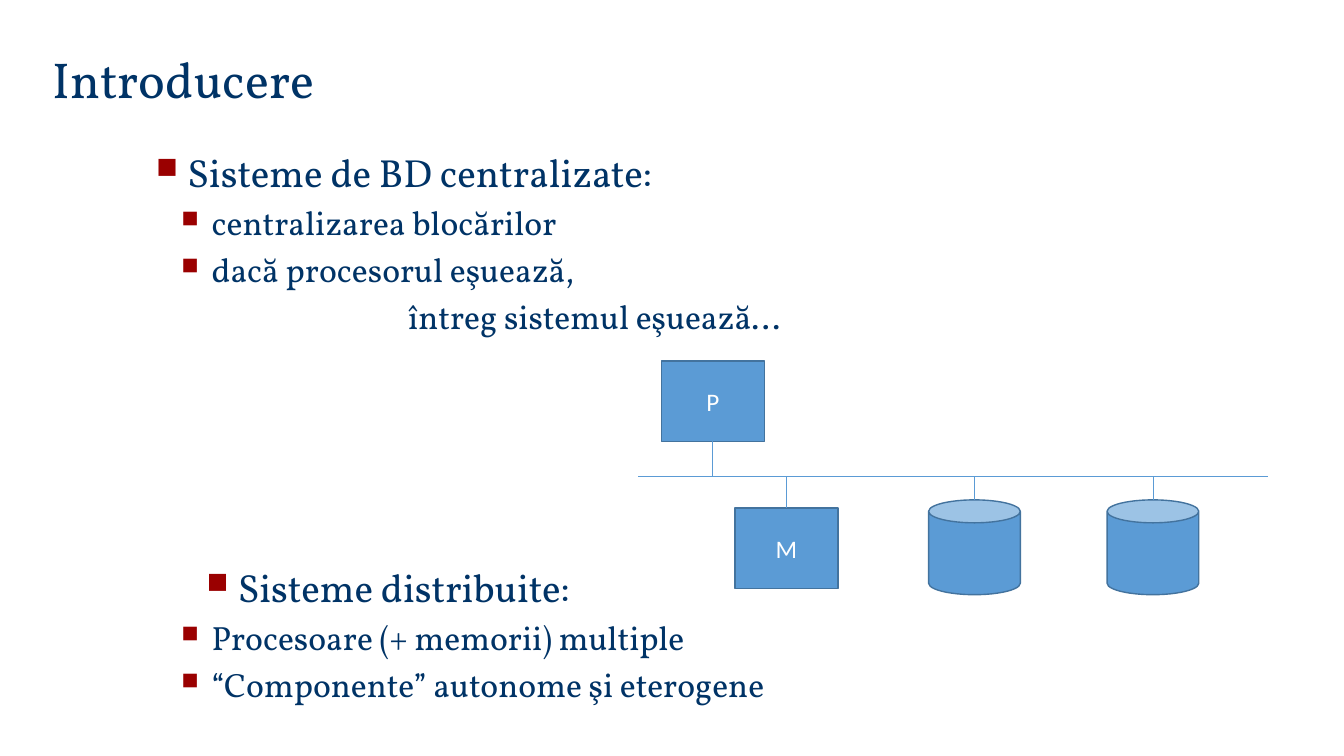
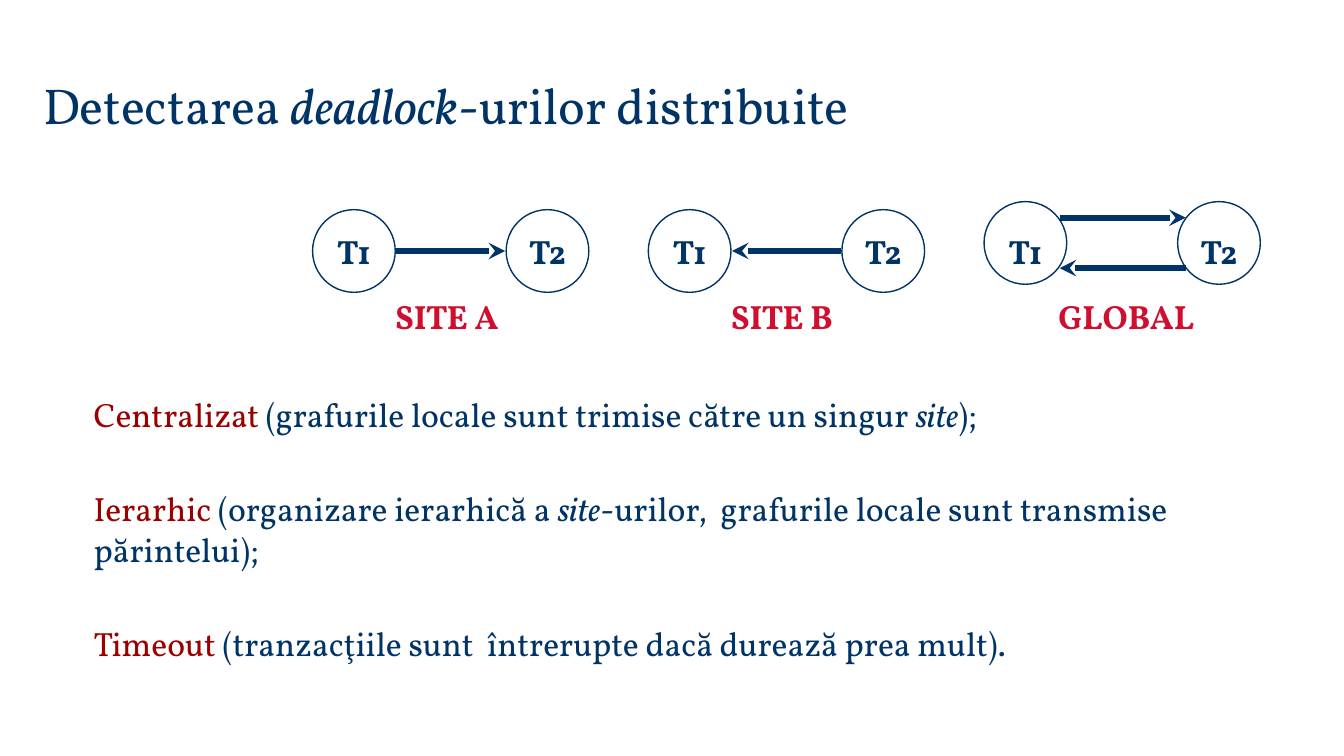
import pptx
import pptx.dml.color
import pptx.enum.shapes
import pptx.enum.text
import pptx.oxml.ns
import pptx.util
import lxml.etree

Inches = pptx.util.Inches
Pt = pptx.util.Pt
RGB = pptx.dml.color.RGBColor.from_string
SHAPES = pptx.enum.shapes.MSO_SHAPE
ALIGN = pptx.enum.text.PP_ALIGN
ANCHOR = pptx.enum.text.MSO_ANCHOR
qn = pptx.oxml.ns.qn

COLORS = {
    "navy": "003366",
    "dark_red": "9A0000",
    "label_red": "CF0E30",
    "blue": "5B9BD5",
    "blue_edge": "43739E",
    "white": "FFFFFF",
}
FONT = "Vollkorn"


def write_text(frame, lines, size, color="navy", font=FONT, bold=False):
    for index, line in enumerate(lines):
        paragraph = frame.paragraphs[0] if index == 0 else frame.add_paragraph()
        paragraph.font.name = font
        paragraph.font.size = Pt(size)
        paragraph.font.bold = bold
        paragraph.font.color.rgb = RGB(COLORS[color])
        for text, style in line:
            run = paragraph.add_run()
            run.text = text
            if style == "italic":
                run.font.italic = True
            elif style:
                run.font.color.rgb = RGB(COLORS[style])


def add_line(slide, start, end, color, width, arrow=False):
    connector = slide.shapes.add_connector(
        pptx.enum.shapes.MSO_CONNECTOR.STRAIGHT,
        *(Inches(value) for value in (*start, *end)))
    connector.line.color.rgb = RGB(COLORS[color])
    connector.line.width = Pt(width)
    if arrow:
        line = connector.line._get_or_add_ln()
        lxml.etree.SubElement(line, qn("a:tailEnd"), type="stealth")
    lxml.etree.SubElement(connector._element.spPr, qn("a:effectLst"))


presentation = pptx.Presentation()
presentation.slide_width = Inches(13.33)
presentation.slide_height = Inches(7.5)

titles = [
    (0.42, 0.42, [("Introducere", None)]),
    (0.33, 0.67, [("Detectarea ", None), ("deadlock", "italic"),
                  ("-urilor distribuite", None)]),
]
for left, top, runs in titles:
    slide = presentation.slides.add_slide(presentation.slide_layouts[6])
    title = slide.shapes.add_textbox(
        Inches(left), Inches(top), Inches(11.3), Inches(0.71)).text_frame
    title.word_wrap = True
    title.vertical_anchor = ANCHOR.BOTTOM
    write_text(title, [runs], 36)
intro_slide, deadlock_slide = presentation.slides

heading = {"size": 28, "margin": 0.31, "hanging": 0.31, "bullet": 75}
late_heading = {**heading, "margin": 0.81}
item = {"size": 24, "margin": 0.55, "hanging": 0.3, "bullet": 70}
continuation = {"size": 24, "margin": 2.5, "hanging": 0, "bullet": None}
outlines = [
    (1.42, 2, [
        ("Sisteme de BD centralizate:", heading),
        ("centralizarea blocărilor", item),
        ("dacă procesorul eşuează,", item),
        ("întreg sistemul eşuează...", continuation),
    ]),
    (5.54, 1.5, [
        ("Sisteme distribuite:", late_heading),
        ("Procesoare (+ memorii) multiple", item),
        ("“Componente” autonome şi eterogene", item),
    ]),
]
for top, height, entries in outlines:
    frame = intro_slide.shapes.add_textbox(
        Inches(1.45), Inches(top), Inches(10.88), Inches(height)).text_frame
    frame.word_wrap = True
    write_text(frame, [[(text, None)] for text, level in entries], 24)
    for index, (text, level) in enumerate(entries):
        paragraph = frame.paragraphs[index]
        paragraph.font.size = Pt(level["size"])
        paragraph.space_before = Pt(level["size"] / 5 if index else 0)
        properties = paragraph._p.get_or_add_pPr()
        properties.set("marL", str(Inches(level["margin"])))
        properties.set("indent", str(-Inches(level["hanging"])))
        if level["bullet"]:
            bullet_color = lxml.etree.Element(qn("a:buClr"))
            lxml.etree.SubElement(
                bullet_color, qn("a:srgbClr"), val=COLORS["dark_red"])
            bullet_size = lxml.etree.Element(
                qn("a:buSzPct"), val=str(level["bullet"] * 1000))
            bullet = lxml.etree.Element(qn("a:buChar"), char="■")
            for element in (bullet_color, bullet_size, bullet):
                properties.defRPr.addprevious(element)

bus_y = 4.73
components = [
    (SHAPES.RECTANGLE, 6.56, 3.58, 1.02, 0.8, "P"),
    (SHAPES.RECTANGLE, 7.29, 5.04, 1.02, 0.8, "M"),
    (SHAPES.CAN, 9.21, 4.96, 0.91, 0.94, ""),
    (SHAPES.CAN, 10.98, 4.96, 0.91, 0.94, ""),
]
add_line(intro_slide, (6.33, bus_y), (12.58, bus_y), "blue", 0.5)
for kind, left, top, width, height, name in components:
    shape = intro_slide.shapes.add_shape(
        kind, Inches(left), Inches(top), Inches(width), Inches(height))
    shape.shadow.inherit = False
    shape.fill.solid()
    shape.fill.fore_color.rgb = RGB(COLORS["blue"])
    shape.line.color.rgb = RGB(COLORS["blue_edge"])
    shape.line.width = Pt(1)
    if name:
        write_text(shape.text_frame, [[(name, None)]], 18, "white", "Calibri")
        shape.text_frame.paragraphs[0].alignment = ALIGN.CENTER
    center = left + width / 2
    edge = top if top > bus_y else top + height
    add_line(intro_slide, (center, bus_y), (center, edge), "blue", 0.5)

diameter = 0.82
node_gap = 1.92
graphs = [
    (3.1, 2.08, "SITE A", 3.82, [(3.92, 5.01, 2.49)]),
    (6.43, 2.08, "SITE B", 7.15, [(8.34, 7.26, 2.49)]),
    (9.76, 2, "GLOBAL", 10.4, [(10.51, 11.76, 2.16), (11.76, 10.51, 2.66)]),
]
for left, top, label, label_left, arrows in graphs:
    for index, name in enumerate(("T1", "T2")):
        node = deadlock_slide.shapes.add_shape(
            SHAPES.OVAL, Inches(left + index * node_gap), Inches(top),
            Inches(diameter), Inches(diameter))
        node.shadow.inherit = False
        node.fill.solid()
        node.fill.fore_color.rgb = RGB(COLORS["white"])
        node.line.color.rgb = RGB(COLORS["navy"])
        node.line.width = Pt(1)
        frame = node.text_frame
        frame.word_wrap = False
        frame.margin_left = frame.margin_right = frame.margin_bottom = 0
        frame.margin_top = Inches(2 * (2.08 - top))
        frame.vertical_anchor = ANCHOR.MIDDLE
        write_text(frame, [[(name, None)]], 24, bold=True)
        frame.paragraphs[0].alignment = ALIGN.CENTER
    for start, end, y in arrows:
        add_line(deadlock_slide, (start, y), (end, y), "navy", 4, arrow=True)
    caption = deadlock_slide.shapes.add_textbox(
        Inches(label_left), Inches(2.89), Inches(1.66), Inches(0.51)).text_frame
    caption.word_wrap = True
    write_text(caption, [[(label, None)]], 24, "label_red", bold=True)

methods = [
    [("Centralizat", "dark_red"),
     (" (grafurile locale sunt trimise către un singur ", None),
     ("site", "italic"), (");", None)],
    [("Ierarhic", "dark_red"), (" (organizare ierarhică a ", None),
     ("site", "italic"),
     ("-urilor,  grafurile locale sunt transmise părintelui);", None)],
    [("Timeout", "dark_red"),
     (" (tranzacţiile sunt  întrerupte dacă durează prea mult).", None)],
]
frame = deadlock_slide.shapes.add_textbox(
    Inches(0.83), Inches(3.86), Inches(11.92), Inches(3.2)).text_frame
frame.word_wrap = True
write_text(frame, methods, 24)
for paragraph in frame.paragraphs[1:]:
    paragraph.space_before = Pt(38.4)

presentation.save("out.pptx")
